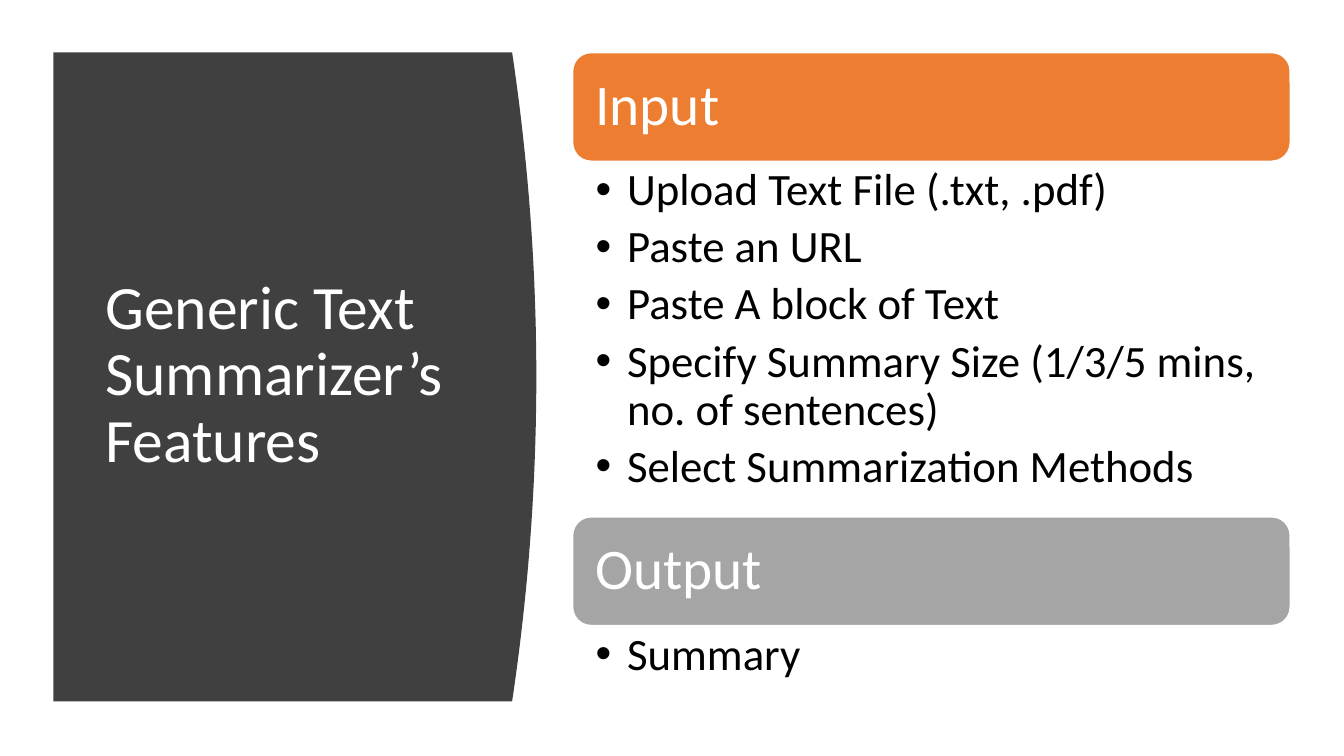
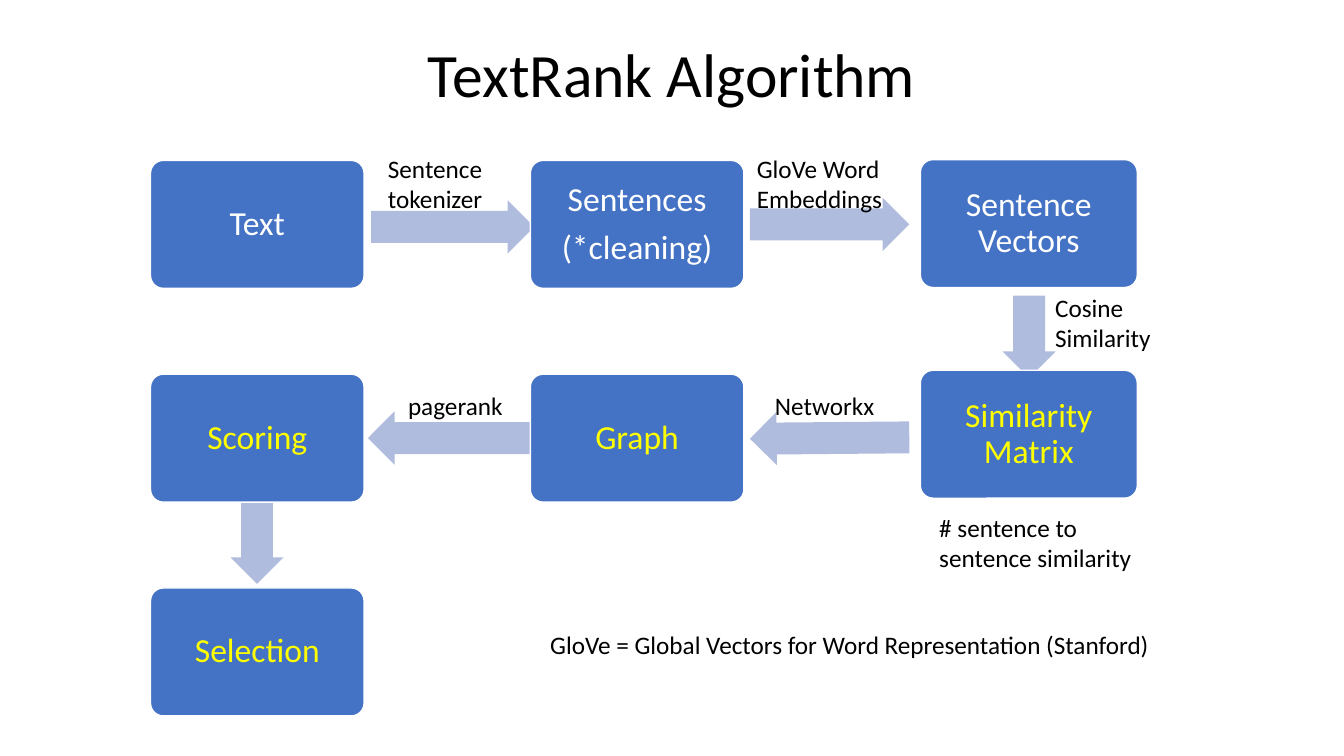
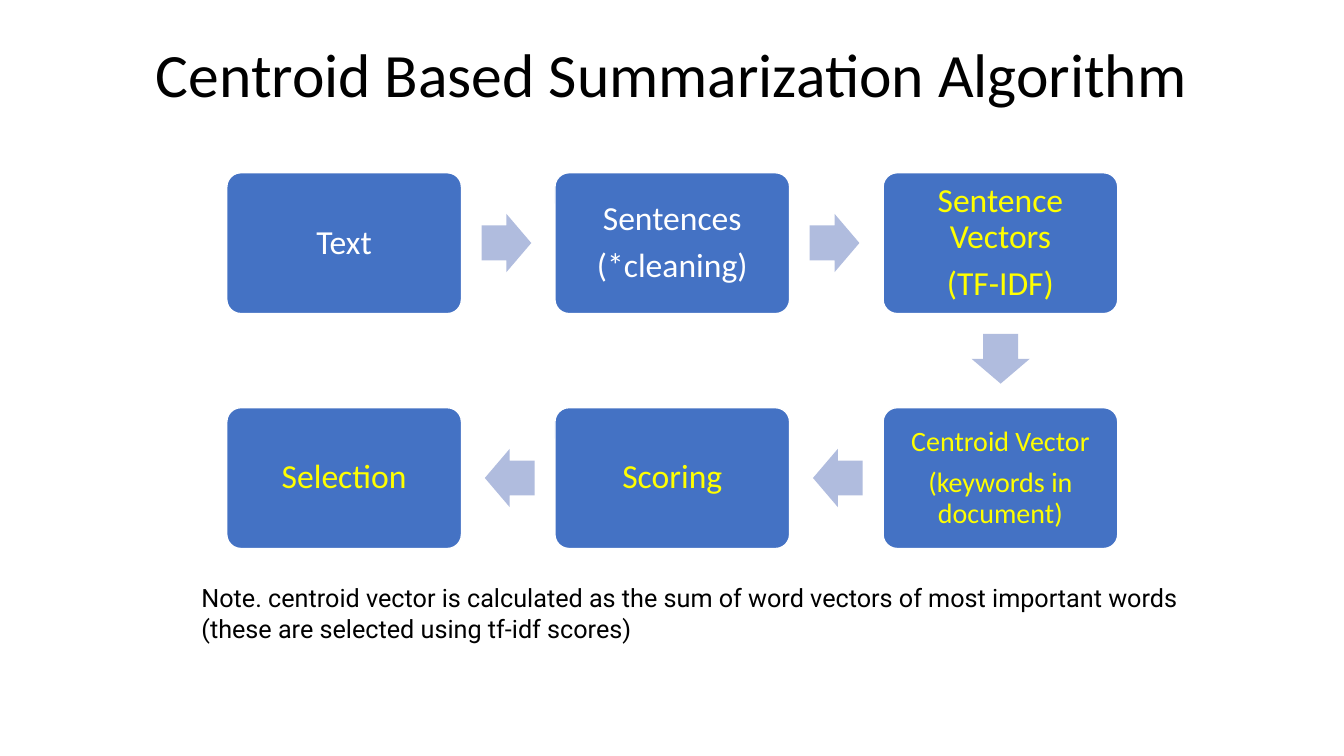
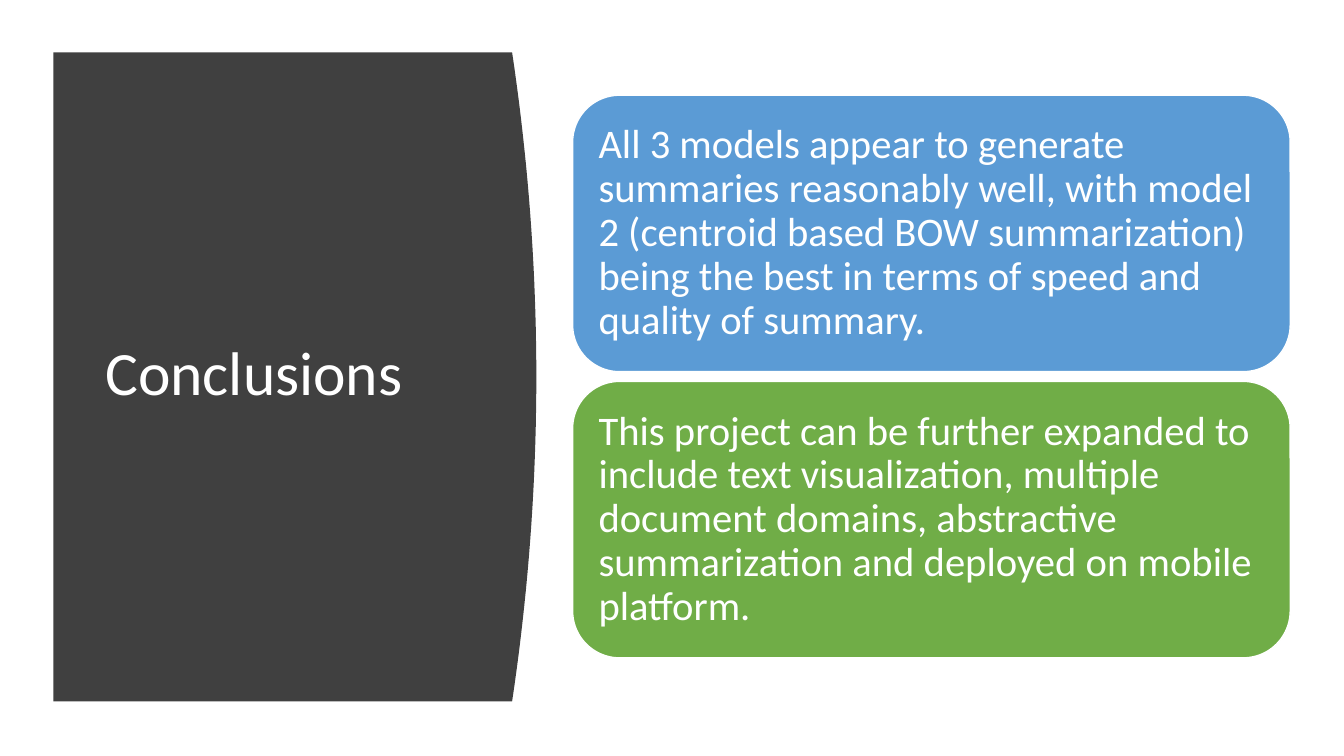
from lxml.etree import SubElement
from pptx import Presentation
from pptx.dml.color import RGBColor
from pptx.enum.shapes import MSO_SHAPE
from pptx.enum.text import MSO_ANCHOR, MSO_AUTO_SIZE, PP_ALIGN
from pptx.oxml.ns import qn
from pptx.util import Pt

COLORS = {
    "white": "FFFFFF", "black": "000000", "panel": "404040",
    "orange": "ED7D31", "grey": "A5A5A5", "blue": "4472C4",
    "yellow": "FFFF00", "arrow": "B0BCDE", "sky": "5B9BD5", "green": "70AD47",
}
FONT = "Calibri"
TITLE_ONLY, TWO_CONTENT = 5, 3  # layouts of the default template

# Right column of the slides that have a dark side panel
COLUMN_LEFT, COLUMN_WIDTH = 409, 512.6


class Slides:
    """Shared style, and one method for each kind of element."""

    def __init__(self):
        self.deck = Presentation()
        self.deck.slide_width, self.deck.slide_height = Pt(960), Pt(540)
        self.page = None

    def new_page(self, layout=TITLE_ONLY):
        self.page = self.deck.slides.add_slide(self.deck.slide_layouts[layout])

    def place(self, shape, left, top, width, height):
        shape.left, shape.top = Pt(left), Pt(top)
        shape.width, shape.height = Pt(width), Pt(height)

    def paint(self, shape, fill, line=None):
        shape.shadow.inherit = False
        shape.fill.solid()
        shape.fill.fore_color.rgb = RGBColor.from_string(COLORS[fill])
        if line:
            shape.line.color.rgb = RGBColor.from_string(COLORS[line])
            shape.line.width = Pt(1)
        else:
            shape.line.fill.background()

    def fill_text(self, shape, lines, size, color="black", align=PP_ALIGN.LEFT,
                  anchor=MSO_ANCHOR.MIDDLE, insets=(7.2, 3.6, 7.2, 3.6),
                  spacing=0.9, gap=0, bullets=False, font=FONT):
        frame = shape.text_frame
        frame.word_wrap = True
        frame.auto_size = MSO_AUTO_SIZE.NONE
        frame.vertical_anchor = anchor
        (frame.margin_left, frame.margin_top,
         frame.margin_right, frame.margin_bottom) = map(Pt, insets)
        for index, line in enumerate(lines):
            para = frame.add_paragraph() if index else frame.paragraphs[0]
            if bullets:
                properties = para._p.get_or_add_pPr()
                properties.set("marL", str(Pt(22.5)))
                properties.set("indent", str(-Pt(22.5)))
                SubElement(properties, qn("a:buChar"), char="•")
            para.alignment = align
            para.line_spacing = spacing
            para.space_before = Pt(gap if index else 0)
            para.space_after = Pt(0)
            span = para.add_run()
            span.text = line
            span.font.name = font
            span.font.size = Pt(size)
            span.font.color.rgb = RGBColor.from_string(COLORS[color])

    def title(self, text):
        title = self.page.shapes.title
        self.place(title, 66, 3, 828, 104.4)
        self.fill_text(title, [text], 44, align=PP_ALIGN.CENTER)

    def side_title(self, text):
        """White title on a dark panel whose right edge bulges outwards."""
        left, top, right, bottom, bulge, steps = 38.2, 37.4, 365.8, 501.1, 17.3, 40
        edge = []
        for step in range(steps + 1):
            t = step / steps
            edge.append((Pt(right + bulge * 4 * t * (1 - t)),
                         Pt(top + (bottom - top) * t)))
        builder = self.page.shapes.build_freeform(Pt(left), Pt(top), scale=1.0)
        builder.add_line_segments(edge + [(Pt(left), Pt(bottom))], close=True)
        panel = builder.convert_to_shape()
        self.paint(panel, "panel")
        title = self.page.shapes.title
        panel.element.addnext(title.element)  # keep the title above the panel
        self.place(title, 68, 80, 269, 377)
        self.fill_text(title, [text], 44, "white")

    def card(self, left, top, width, height, lines, size, fill, color="white",
             corner=0.17, inset=7.2, align=PP_ALIGN.LEFT):
        box = self.page.shapes.add_shape(
            MSO_SHAPE.ROUNDED_RECTANGLE, Pt(left), Pt(top), Pt(width), Pt(height))
        box.adjustments[0] = corner
        self.paint(box, fill, "white")
        self.fill_text(box, lines, size, color, align, insets=[inset] * 4, gap=8)

    def step(self, left, top, width, height, lines, color="white", size=24):
        self.card(left, top, width, height, lines, size, "blue", color,
                  corner=0.1, inset=size * 0.3, align=PP_ALIGN.CENTER)

    def arrow(self, left, top, width, height, rotation=0):
        arrow = self.page.shapes.add_shape(
            MSO_SHAPE.RIGHT_ARROW, Pt(left), Pt(top), Pt(width), Pt(height))
        arrow.adjustments[0], arrow.adjustments[1] = 0.6, 0.5
        arrow.rotation = rotation
        self.paint(arrow, "arrow")

    def bullets(self, slot, top, height, lines):
        body = self.page.placeholders[slot]
        self.place(body, COLUMN_LEFT, top, COLUMN_WIDTH, height)
        self.fill_text(body, lines, 32, anchor=MSO_ANCHOR.TOP,
                       insets=(16.4, 4.1, 23, 4.1), gap=6.2, bullets=True)

    def label(self, left, top, width, lines, font=FONT, rows=None):
        height = 7.2 + 22 * (rows or len(lines))
        box = self.page.shapes.add_textbox(Pt(left), Pt(top), Pt(width), Pt(height))
        self.fill_text(box, lines, 18, anchor=MSO_ANCHOR.TOP, spacing=1.0, font=font)


def features(slides):
    slides.new_page(TWO_CONTENT)
    slides.side_title("Generic Text Summarizer’s Features")
    header = 77.6
    sections = [
        ("Input", "orange", 37.6, 254, [
            "Upload Text File (.txt, .pdf)",
            "Paste an URL",
            "Paste A block of Text",
            "Specify Summary Size (1/3/5 mins, no. of sentences)",
            "Select Summarization Methods"]),
        ("Output", "grey", 369.2, 53.3, ["Summary"]),
    ]
    for slot, (name, fill, top, height, lines) in enumerate(sections, start=1):
        slides.card(COLUMN_LEFT, top, COLUMN_WIDTH, header, [name], 41, fill,
                    inset=12.3)
        slides.bullets(slot, top + header, height, lines)


def textrank(slides):
    slides.new_page()
    slides.title("TextRank Algorithm")
    # Arrows lie under the boxes
    for arrow in [
        (265, 143.1, 116.6, 38, 0),
        (535.7, 141.3, 113.8, 38, 0),
        (705.6, 221.6, 59, 38, 90),
        (535.7, 293.9, 113.8, 38, 179.5),
        (262.8, 293.9, 116.6, 38, 180),
        (154.8, 369.3, 57.6, 38, 90),
    ]:
        slides.arrow(*arrow)
    # Boxes: left and middle columns share one row pitch
    left, middle, right = 107.5, 378.8, 657.4
    first, pitch, width, height = 114.6, 152.7, 152.6, 91.4
    for column, row, lines, color in [
        (left, 0, ["Text"], "white"),
        (middle, 0, ["Sentences", "(*cleaning)"], "white"),
        (middle, 1, ["Graph"], "yellow"),
        (left, 1, ["Scoring"], "yellow"),
        (left, 2, ["Selection"], "yellow"),
    ]:
        slides.step(column, first + row * pitch, width, height, lines, color)
    slides.step(right, 114, 155, height, ["Sentence Vectors"])
    slides.step(right, 264.5, 155, height, ["Similarity Matrix"], "yellow")
    # Labels
    for label in [
        (270, 105.8, 94.3, ["Sentence", "tokenizer"]),
        (533.5, 105.8, 108, ["GloVe Word", "Embeddings"]),
        (746.6, 205.2, 108, ["Cosine", "Similarity"]),
        (546.5, 275, 108, ["Networkx"]),
        (284.4, 275, 108, ["pagerank"]),
        (385.9, 445.7, 465, ["GloVe = Global Vectors for Word Representation (Stanford)"]),
    ]:
        slides.label(*label)
    slides.label(663.8, 362.2, 165, ["# sentence to sentence similarity"], rows=2)


def centroid(slides):
    slides.new_page()
    slides.title("Centroid Based Summarization Algorithm")
    left, top, across, down = 162, 123.4, 234.4, 167.8
    # Boxes on a grid of three columns and two rows
    for column, row, lines, color, size in [
        (0, 0, ["Text"], "white", 24),
        (1, 0, ["Sentences", "(*cleaning)"], "white", 24),
        (2, 0, ["Sentence Vectors", "(TF-IDF)"], "yellow", 24),
        (2, 1, ["Centroid Vector", "(keywords in document)"], "yellow", 20),
        (1, 1, ["Scoring"], "yellow", 24),
        (0, 1, ["Selection"], "yellow", 24),
    ]:
        slides.step(left + column * across, top + row * down, 167.6, 100.6,
                    lines, color, size)
    # Arrows: to the right above, down, then back to the left
    for gap in range(2):
        slides.arrow(344 + gap * across, 152.8, 35.5, 41.6)
        slides.arrow(346.3 + gap * across, 152.8 + down, 35.5, 41.6, 180)
    slides.arrow(697, 235.5, 35.5, 41.6, 90)
    slides.label(136.8, 412.6, 717, [
        "Note. centroid vector is calculated as the sum of word vectors of most "
        "important words (these are selected using tf-idf scores)"],
        font="Roboto", rows=2)


def conclusions(slides):
    slides.new_page()
    slides.side_title("Conclusions")
    for index, (fill, text) in enumerate([
        ("sky", "All 3 models appear to generate summaries reasonably well, with "
                "model 2 (centroid based BOW summarization) being the best in "
                "terms of speed and quality of summary."),
        ("green", "This project can be further expanded to include text "
                  "visualization, multiple document domains, abstractive "
                  "summarization and deployed on mobile platform."),
    ]):
        slides.card(COLUMN_LEFT, 68 + index * 204.4, COLUMN_WIDTH, 197.5,
                    [text], 29, fill, inset=8.7)


def main():
    slides = Slides()
    for build in (features, textrank, centroid, conclusions):
        build(slides)
    slides.deck.save("out.pptx")


if __name__ == "__main__":
    main()
